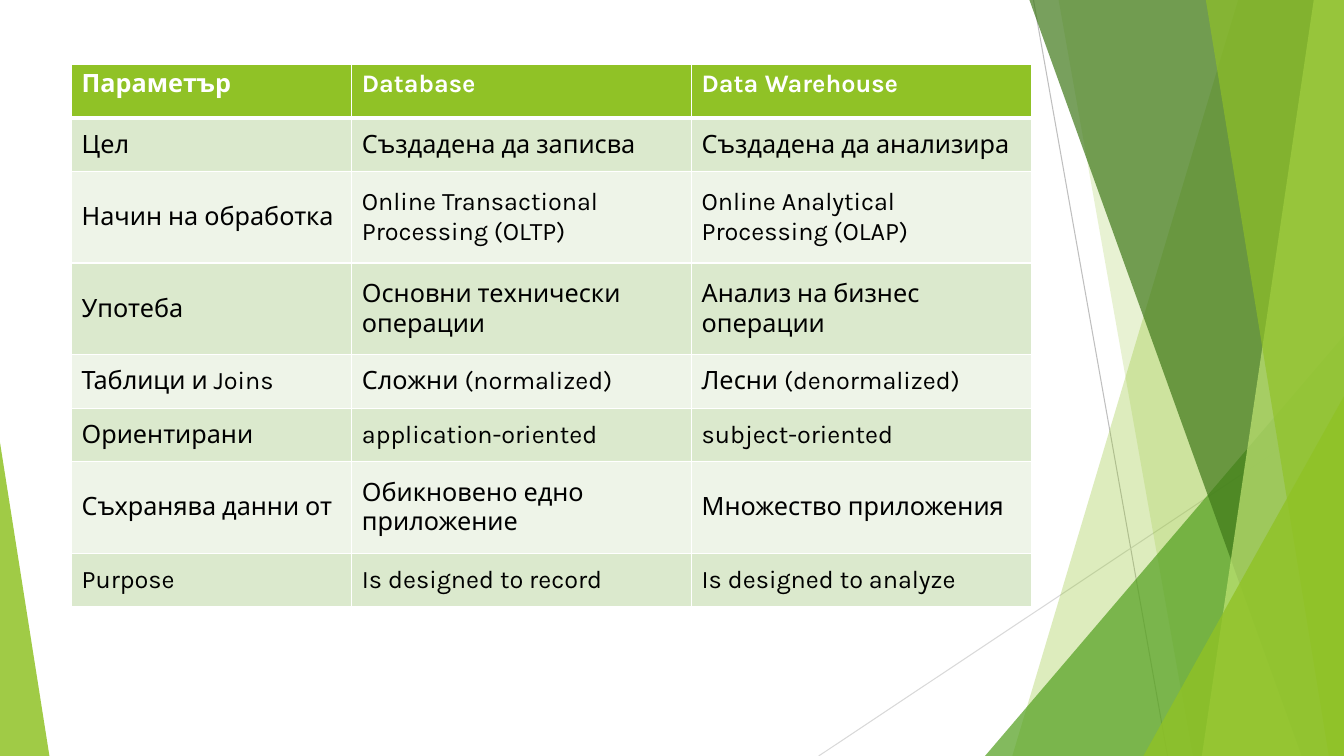
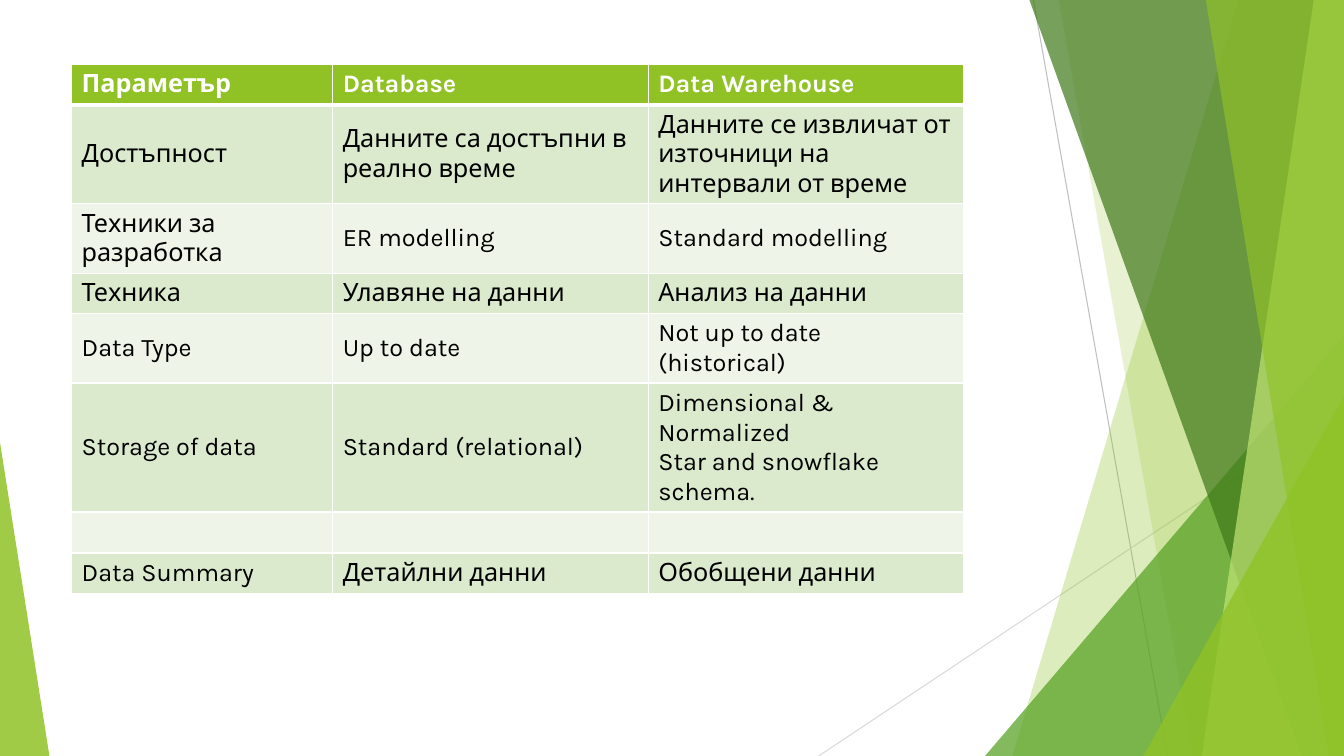
"""Builds two slides that compare a database with a data warehouse."""
import lxml.etree
import pptx
import pptx.dml.color
import pptx.enum.shapes
import pptx.enum.text
import pptx.oxml.ns
import pptx.util

Inches, Pt = pptx.util.Inches, pptx.util.Pt
RGB = pptx.dml.color.RGBColor
qn = pptx.oxml.ns.qn

WIDE, HIGH = 13.33, 7.5
LEFT, TOP = 0.71, 0.64
LIME, GREEN = RGB(0x90, 0xC2, 0x26), RGB(0x54, 0xA0, 0x21)
FOREST, PALE = RGB(0x3F, 0x78, 0x19), RGB(0xC0, 0xE4, 0x74)
SILVER, MIST = RGB(0xBF, 0xBF, 0xBF), RGB(0xD9, 0xD9, 0xD9)
WHITE, BLACK = RGB(0xFF, 0xFF, 0xFF), RGB(0, 0, 0)
BANDS = RGB(0xEE, 0xF4, 0xE8), RGB(0xDB, 0xE9, 0xCD)
HEAD = {"name": "Karla", "size": Pt(18), "bold": True}
BODY = {**HEAD, "bold": False}

RULES = [
    ((10.25, 0), (11.58, HIGH), SILVER),
    ((WIDE, 4.03), (8.12, HIGH), MIST),
]
# "band" holds top and bottom x of its left edge, "peak" its box and apex.
FACETS = [
    ("band", (12.28, 10.04), LIME, 30),
    ("band", (10.5, 11.83), LIME, 20),
    ("peak", (9.77, 3.33, 3.56, 1), GREEN, 72),
    ("band", (10.21, 12.91), FOREST, 70),
    ("band", (13.03, 11.92), PALE, 70),
    ("band", (11.96, 13.18), LIME, 65),
    ("peak", (11.34, 3.93, 1.99, 1), LIME, 80),
    ("peak", (0, 4.39, 0.49, 0), LIME, 85),
]
TITLES = ("Параметър", "Database", "Data Warehouse")
TABLES = [
    {
        "cols": (2.78, 3.37, 3.37),
        "rows": (0.53, 0.53, 0.91, 0.91, 0.53, 0.53, 0.91, 0.53),
        "text": [
            TITLES,
            ("Цел", "Създадена да записва", "Създадена да анализира"),
            ("Начин на обработка", "Online Transactional Processing (OLTP)",
             "Online Analytical Processing (OLAP)"),
            ("Употеба", "Основни технически операции",
             "Анализ на бизнес операции"),
            ("Таблици и Joins", "Сложни (normalized)",
             "Лесни (denormalized)"),
            ("Ориентирани", "application-oriented", "subject-oriented"),
            ("Съхранява данни от", "Обикновено едно приложение",
             "Множество приложения"),
            ("Purpose", "Is designed to record", "Is designed to analyze"),
        ],
    },
    {
        "cols": (2.59, 3.13, 3.13),
        "rows": (0.4, 0.98, 0.69, 0.4, 0.69, 1.28, 0.4, 0.4),
        "text": [
            TITLES,
            ("Достъпност", "Данните са достъпни в реално време",
             "Данните се извличат от източници на интервали от време"),
            ("Техники за разработка", "ER modelling", "Standard modelling"),
            ("Техника", "Улавяне на данни", "Анализ на данни"),
            ("Data Type", "Up to date", "Not up to date (historical)"),
            ("Storage of data", "Standard (relational)",
             "Dimensional & Normalized\nStar and snowflake schema."),
            ("", "", ""),
            ("Data Summary", "Детайлни данни", "Обобщени данни"),
        ],
    },
]


def add_rule(shapes, start, end, color):
    """Draw one thin line."""
    ends = [Inches(n) for n in (*start, *end)]
    kind = pptx.enum.shapes.MSO_CONNECTOR.STRAIGHT
    rule = shapes.add_connector(kind, *ends)
    rule.line.color.rgb = color
    rule.line.width = Pt(0.75)
    lxml.etree.SubElement(rule.element.spPr, qn("a:effectLst"))


def add_facet(shapes, kind, place, color, alpha):
    """Draw one see-through facet."""
    if kind == "band":
        top, foot = place
        pen = shapes.build_freeform(Inches(top), 0, scale=1)
        corners = (WIDE, 0), (WIDE, HIGH), (foot, HIGH)
        pen.add_line_segments([(Inches(x), Inches(y)) for x, y in corners])
        facet = pen.convert_to_shape()
    else:
        x, y, width, apex = place
        box = [Inches(n) for n in (x, y, width, HIGH - y)]
        form = pptx.enum.shapes.MSO_SHAPE.ISOSCELES_TRIANGLE
        facet = shapes.add_shape(form, *box)
        facet.adjustments[0] = apex
    facet.shadow.inherit = False
    facet.fill.solid()
    facet.fill.fore_color.rgb = color
    tint = facet.element.spPr.find(".//" + qn("a:srgbClr"))
    lxml.etree.SubElement(tint, qn("a:alpha"), val=str(alpha * 1000))
    facet.line.fill.background()


def dress_layout(layout, slide):
    """Draw the shared facets and move them to the layout."""
    for hold in list(layout.placeholders):
        layout.shapes.element.remove(hold.element)
    for rule in RULES:
        add_rule(slide.shapes, *rule)
    for facet in FACETS:
        add_facet(slide.shapes, *facet)
    for shape in list(slide.shapes):
        layout.shapes.element.append(shape.element)


def add_edges(cell, row):
    """Give a cell white borders, thick below the header."""
    thick = {(0, "B"), (1, "T")}
    props = cell._tc.get_or_add_tcPr()
    for side in "LRTB":
        width = Pt(3 if (row, side) in thick else 1)
        edge = lxml.etree.SubElement(props, qn("a:ln" + side), w=str(width))
        fill = lxml.etree.SubElement(edge, qn("a:solidFill"))
        lxml.etree.SubElement(fill, qn("a:srgbClr"), val=str(WHITE))


def fill_cell(cell, row, text):
    """Write and format one cell."""
    add_edges(cell, row)
    cell.fill.solid()
    cell.fill.fore_color.rgb = BANDS[row % 2] if row else LIME
    anchor = pptx.enum.text.MSO_ANCHOR
    cell.vertical_anchor = anchor.MIDDLE if row else anchor.TOP
    cell.text = text
    for para in cell.text_frame.paragraphs:
        for run in para.runs:
            for key, value in (BODY if row else HEAD).items():
                setattr(run.font, key, value)
            run.font.color.rgb = BLACK if row else WHITE


def add_grid(slide, cols, rows, text):
    """Add one comparison table."""
    box = [Inches(n) for n in (LEFT, TOP, sum(cols), sum(rows))]
    table = slide.shapes.add_table(len(rows), len(cols), *box).table
    for col, width in zip(table.columns, cols):
        col.width = Inches(width)
    for row, height in enumerate(rows):
        table.rows[row].height = Inches(height)
        for col, words in enumerate(text[row]):
            fill_cell(table.cell(row, col), row, words)


def main():
    """Build and save the slides."""
    deck = pptx.Presentation()
    deck.slide_width, deck.slide_height = Inches(WIDE), Inches(HIGH)
    blank = deck.slide_layouts[6]
    slides = [deck.slides.add_slide(blank) for _ in TABLES]
    dress_layout(blank, slides[0])
    for slide, grid in zip(slides, TABLES):
        add_grid(slide, **grid)
    deck.save("out.pptx")


if __name__ == "__main__":
    main()
